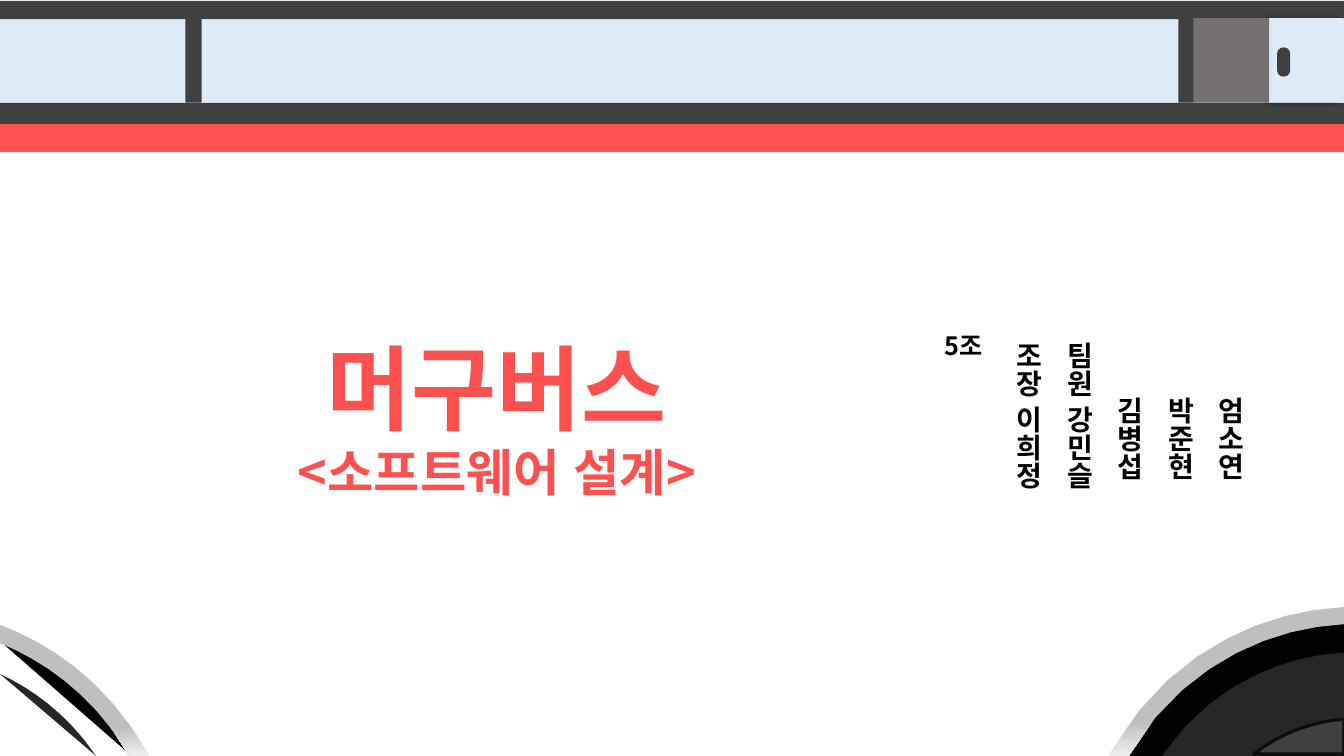
"""Build the cover slide: a bus side with title, team names and two wheels."""
from dataclasses import dataclass
from math import sqrt

from lxml.etree import SubElement
from pptx import Presentation
from pptx.dml.color import RGBColor
from pptx.enum.lang import MSO_LANGUAGE_ID as Lang
from pptx.enum.shapes import MSO_SHAPE as Shape
from pptx.enum.text import MSO_ANCHOR as Anchor, MSO_AUTO_SIZE as AutoSize, PP_ALIGN as Align
from pptx.oxml import parse_xml
from pptx.oxml.ns import nsdecls, qn
from pptx.util import Inches, Pt

FONT = "Noto Sans CJK KR"
COLORS = {
    "red": "FF5050", "black": "000000", "glass": "DEEBF7", "frame": "404040",
    "door": "767171", "tire": "262626", "edge": "0D0D0D",
    "rim": "BFBFBF", "rim_light": "F0F0F0",
}
WIDTH, HEIGHT = 40 / 3, 7.5
AXLE_Y = 8.8
STEPS = 8


@dataclass
class Panel:
    """A rectangular part of the bus body."""
    x: float
    y: float
    w: float
    h: float
    color: str
    radius: float = 0
    shadow: bool = False


@dataclass
class Ring:
    """A disc or ring of a wheel, cut off at the floor."""
    outer: float
    color: str
    inner: float = 0
    floor: float = HEIGHT
    edge: str = ""


@dataclass
class Wheel:
    """A wheel centred at x on the axle line."""
    x: float
    rings: list[Ring]


@dataclass
class Line:
    """One paragraph of text."""
    text: str
    size: int
    color: str = "black"
    indent: float = 0
    spacing: float = 1


PANELS = [
    Panel(0, 0.18, WIDTH, 0.84, "glass"),
    Panel(0, 1.23, WIDTH, 0.28, "red"),
    Panel(0, 1.02, WIDTH, 0.21, "frame"),
    Panel(0, 0.01, WIDTH, 0.18, "frame"),
    Panel(1.84, 0.09, 0.16, 0.93, "frame"),
    Panel(11.69, 0.09, 0.16, 0.93, "frame"),
    Panel(12.59, 0.18, 0.74, 0.84, "glass", shadow=True),
    Panel(12.67, 0.47, 0.13, 0.29, "frame", radius=0.48),
    Panel(11.84, 0.18, 0.75, 0.84, "door"),
]
TIRE = [Ring(2.63, "black"), Ring(2.33, "tire")]
HUB = [Ring(1.67, "frame", floor=7.48, edge="edge")]
RIM = [Ring(2.78, "rim", inner=2.61)]
WHEELS = [Wheel(13.46, TIRE + HUB + RIM), Wheel(-0.98, TIRE + RIM)]

TITLE = [Line("머구버스", 66, "red"), Line("<소프트웨어 설계>", 36, "red")]
TEAM = [Line(name, 20, indent=0.55, spacing=1.5) for name in ("엄소연", "박준현", "김병섭")]
TEAM += [Line(name, 20, spacing=1.5) for name in ("팀원 강민슬", "조장 이희정")]
GROUP = [Line("5조", 18)]


def rgb(name: str) -> RGBColor:
    """Return a named colour."""
    return RGBColor.from_string(COLORS[name])


def place(s, x: float, y: float, w: float, h: float) -> None:
    """Move and size a shape in inches."""
    s.left, s.top, s.width, s.height = (Inches(v) for v in (x, y, w, h))


def write(tf, lines: list[Line], align: Align, wrap: bool, vert: str = "horz") -> None:
    """Fill a text frame with bold paragraphs."""
    tf.word_wrap = wrap
    tf.auto_size = AutoSize.SHAPE_TO_FIT_TEXT
    tf.vertical_anchor = Anchor.TOP
    tf._txBody.bodyPr.set("vert", vert)
    for i, line in enumerate(lines):
        p = tf.add_paragraph() if i else tf.paragraphs[0]
        p.alignment = align
        p.line_spacing = line.spacing
        if line.indent:
            p._p.get_or_add_pPr().set("marL", str(Inches(line.indent)))
        r = p.add_run()
        r.text = line.text
        r.font.size, r.font.bold, r.font.name = Pt(line.size), True, FONT
        r.font.language_id = Lang.KOREAN
        r.font.color.rgb = rgb(line.color)
        SubElement(r._r.get_or_add_rPr(), qn("a:ea"), typeface=FONT)


def add_panel(shapes, panel: Panel) -> None:
    """Draw one panel of the bus body."""
    kind = Shape.ROUNDED_RECTANGLE if panel.radius else Shape.RECTANGLE
    s = shapes.add_shape(kind, 0, 0, 0, 0)
    place(s, panel.x, panel.y, panel.w, panel.h)
    if panel.radius:
        s.adjustments[0] = panel.radius
    s.fill.solid()
    s.fill.fore_color.rgb = rgb(panel.color)
    s.line.fill.background()
    s.shadow.inherit = False
    if panel.shadow:
        s._element.spPr.find(qn("a:effectLst")).append(parse_xml(
            f'<a:outerShdw {nsdecls("a")} blurRad="{Pt(4)}" dist="{Pt(3)}" dir="10800000">'
            f'<a:srgbClr val="{COLORS["black"]}"><a:alpha val="40000"/></a:srgbClr></a:outerShdw>'))


def arc(cx: float, radius: float, floor: float) -> list[tuple[float, float]]:
    """Return the visible part of a circle above the floor, left to right."""
    half = sqrt(radius ** 2 - (AXLE_Y - floor) ** 2)
    left, right = max(0, cx - half), min(WIDTH, cx + half)
    xs = [left + (right - left) * i / STEPS for i in range(STEPS + 1)]
    return [(x, AXLE_Y - sqrt(radius ** 2 - (x - cx) ** 2)) for x in xs]


def add_ring(shapes, cx: float, ring: Ring) -> None:
    """Draw one disc or ring of a wheel."""
    top = arc(cx, ring.outer, ring.floor)
    if ring.inner:
        base = arc(cx, ring.inner, ring.floor)[::-1]
    else:
        base = [(top[-1][0], ring.floor)]
    points = [(Inches(x), Inches(y)) for x, y in top + base]
    builder = shapes.build_freeform(*points[0])
    builder.add_line_segments(points[1:], close=True)
    s = builder.convert_to_shape()
    s.shadow.inherit = False
    if ring.edge:
        s.line.color.rgb = rgb(ring.edge)
        s.line.width = Pt(2.25)
    else:
        s.line.fill.background()
    if ring.inner:
        s.fill.gradient()
        s.fill.gradient_angle = 270
        for stop, name, pos in zip(s.fill.gradient_stops, ("rim", "rim_light"), (0.78, 1)):
            stop.color.rgb = rgb(name)
            stop.position = pos
    else:
        s.fill.solid()
        s.fill.fore_color.rgb = rgb(ring.color)


def main() -> None:
    """Build and save the slide."""
    prs = Presentation()
    prs.slide_width, prs.slide_height = Inches(WIDTH), Inches(HEIGHT)
    slide = prs.slides.add_slide(prs.slide_layouts[5])
    shapes = slide.shapes
    place(shapes.title, 2.61, 3.23, 4.64, 1.82)
    write(shapes.title.text_frame, TITLE, Align.CENTER, False)
    team = shapes.add_textbox(0, 0, 0, 0)
    place(team, 9.86, 3.29, 2.73, 1.75)
    write(team.text_frame, TEAM, Align.LEFT, True, "eaVert")
    for panel in PANELS:
        add_panel(shapes, panel)
    group = shapes.add_textbox(0, 0, 0, 0)
    place(group, 9.27, 3.23, 0.59, 0.88)
    write(group.text_frame, GROUP, Align.LEFT, True, "wordArtVertRtl")
    for wheel in WHEELS:
        for ring in wheel.rings:
            add_ring(shapes, wheel.x, ring)
    prs.save("out.pptx")


if __name__ == "__main__":
    main()
